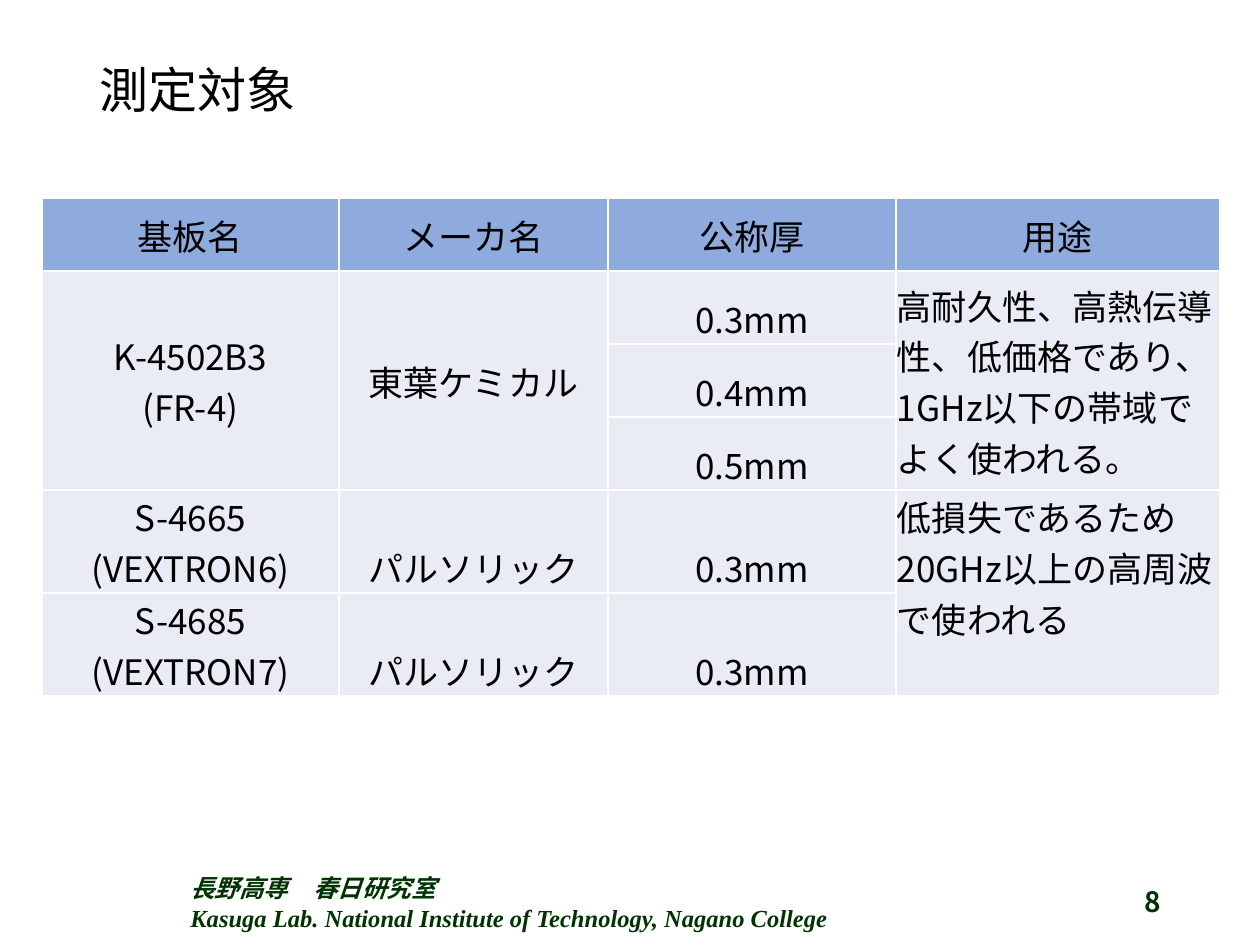
import pptx
import pptx.dml.color
import pptx.enum.text
import pptx.oxml
import pptx.oxml.ns
import pptx.util

SCALE = 914400 // 126
GOTHIC = "Noto Sans CJK JP"
SERIF = "Times New Roman"
BLACK, GREEN, WHITE = "000000", "003300", "FFFFFF"
HEADER_FILL, BODY_FILL = "8FAADC", "E9EBF5"
LEFT, CENTER, RIGHT = (
    pptx.enum.text.PP_ALIGN.LEFT,
    pptx.enum.text.PP_ALIGN.CENTER,
    pptx.enum.text.PP_ALIGN.RIGHT,
)
TOP, MIDDLE, BOTTOM = (
    pptx.enum.text.MSO_ANCHOR.TOP,
    pptx.enum.text.MSO_ANCHOR.MIDDLE,
    pptx.enum.text.MSO_ANCHOR.BOTTOM,
)

TITLE = "測定対象"
FOOTER = [("長野高専\u3000春日研究室", GOTHIC),
          ("Kasuga Lab. National Institute of Technology, Nagano College", SERIF)]
PAGE_NUMBER = "8"

COLUMN_WIDTHS = [297, 269, 288, 324]
ROW_HEIGHTS = [73, 73, 73, 73, 103, 103]
HEADINGS = ["基板名", "メーカ名", "公称厚", "用途"]
BOARDS = [
    (["K-4502B3", "(FR-4)"], "東葉ケミカル", ["0.3mm", "0.4mm", "0.5mm"]),
    (["S-4665", "(VEXTRON6)"], "パルソリック", ["0.3mm"]),
    (["S-4685", "(VEXTRON7)"], "パルソリック", ["0.3mm"]),
]
USES = [
    (1, 3, "高耐久性、高熱伝導性、低価格であり、1GHz以下の帯域でよく使われる。", MIDDLE),
    (4, 2, "低損失であるため20GHz以上の高周波で使われる", TOP),
]


def px(length):
    return pptx.util.Emu(length * SCALE)


def color(value):
    return pptx.dml.color.RGBColor.from_string(value)


def write(frame, lines, size, ink, align=LEFT, bold=False, italic=False):
    frame.text = "\n".join(text for text, _ in lines)
    for para, (_, name) in zip(frame.paragraphs, lines):
        para.alignment = align
        font = para.font
        font.size = pptx.util.Pt(size)
        font.bold = bold
        font.italic = italic
        font.color.rgb = color(ink)
        font.name = name
        latin = para._p.pPr.find(".//" + pptx.oxml.ns.qn("a:latin"))
        latin.addnext(pptx.oxml.parse_xml(
            f'<a:ea {pptx.oxml.ns.nsdecls("a")} typeface="{name}"/>'))


def add_text(page, place, lines, size, anchor=TOP, **style):
    box = page.shapes.add_textbox(*map(px, place))
    box.text_frame.word_wrap = True
    box.text_frame.vertical_anchor = anchor
    write(box.text_frame, lines, size, GREEN, bold=True, **style)


def style_cell(cell, fill):
    properties = cell._tc.get_or_add_tcPr()
    for side in "LRTB":
        properties.append(pptx.oxml.parse_xml(
            f'<a:ln{side} {pptx.oxml.ns.nsdecls("a")} w="12700"><a:solidFill>'
            f'<a:srgbClr val="{WHITE}"/></a:solidFill></a:ln{side}>'))
    cell.fill.solid()
    cell.fill.fore_color.rgb = color(fill)
    cell.margin_left = cell.margin_right = cell.margin_top = px(1)
    cell.margin_bottom = 0


def fill_cell(table, row, column, lines, anchor, align=CENTER, span=1):
    cell = table.cell(row, column)
    if span > 1:
        cell.merge(table.cell(row + span - 1, column))
    cell.vertical_anchor = anchor
    write(cell.text_frame, [(line, GOTHIC) for line in lines], 20, BLACK, align)


def add_board_table(page):
    table = page.shapes.add_table(
        len(ROW_HEIGHTS), len(COLUMN_WIDTHS), px(42), px(198),
        px(sum(COLUMN_WIDTHS)), px(sum(ROW_HEIGHTS))).table
    for column, width in zip(table.columns, COLUMN_WIDTHS):
        column.width = px(width)
    for index, (row, height) in enumerate(zip(table.rows, ROW_HEIGHTS)):
        row.height = px(height)
        for cell in row.cells:
            style_cell(cell, BODY_FILL if index else HEADER_FILL)
    for column, heading in enumerate(HEADINGS):
        fill_cell(table, 0, column, [heading], MIDDLE)
    row = 1
    for board, maker, thicknesses in BOARDS:
        span = len(thicknesses)
        anchor = MIDDLE if span > 1 else BOTTOM
        fill_cell(table, row, 0, board, anchor, span=span)
        fill_cell(table, row, 1, [maker], anchor, span=span)
        for offset, thickness in enumerate(thicknesses):
            fill_cell(table, row + offset, 2, [thickness], BOTTOM)
        row += span
    for row, span, use, anchor in USES:
        fill_cell(table, row, 3, [use], anchor, LEFT, span)


def main():
    deck = pptx.Presentation()
    deck.slide_width, deck.slide_height = px(1260), px(945)
    page = deck.slides.add_slide(deck.slide_layouts[5])
    page.background.fill.solid()
    page.background.fill.fore_color.rgb = color(WHITE)

    title = page.shapes.title
    title.left, title.top, title.width, title.height = map(px, (87, 50, 1086, 86))
    title.text_frame.vertical_anchor = MIDDLE
    write(title.text_frame, [(TITLE, GOTHIC)], 28, BLACK)
    title.text_frame.paragraphs[0].line_spacing = 0.9

    add_text(page, (178, 867, 890, 60), FOOTER, 14, italic=True)
    add_text(page, (1082, 876, 91, 50), [(PAGE_NUMBER, GOTHIC)], 16, MIDDLE, align=RIGHT)
    add_board_table(page)
    deck.save("out.pptx")


if __name__ == "__main__":
    main()
